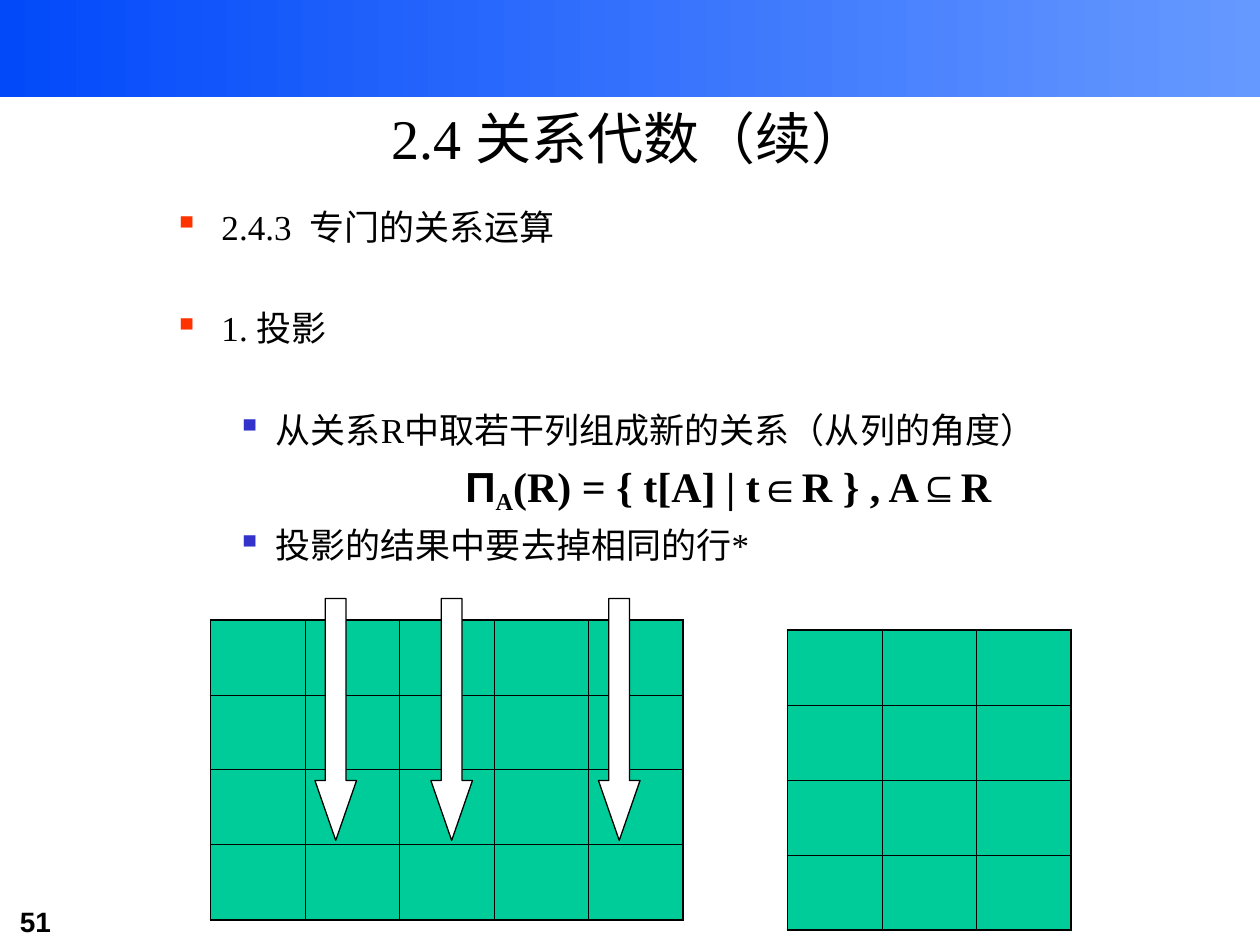
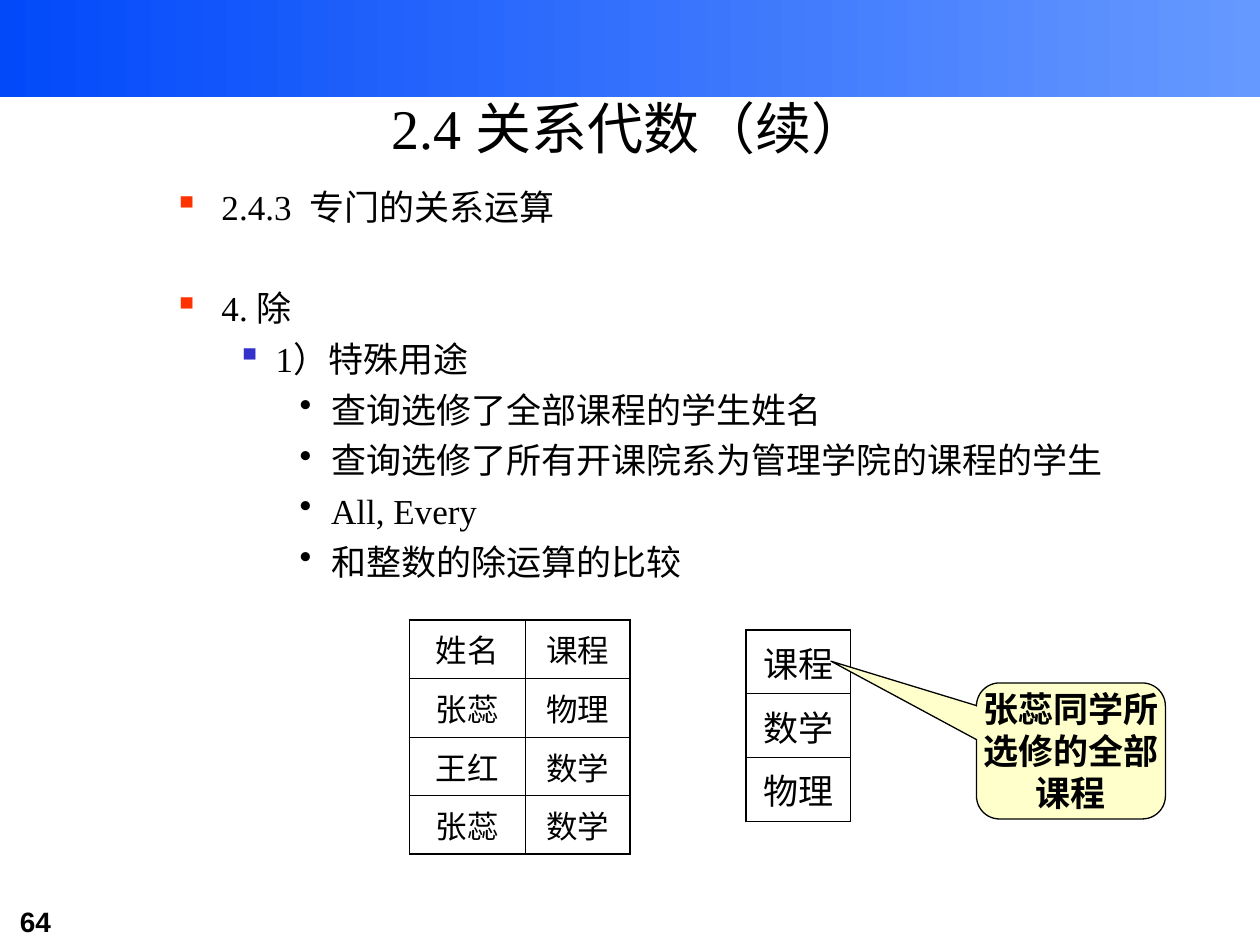
from lxml.etree import SubElement
from pptx import Presentation
from pptx.dml.color import RGBColor
from pptx.enum.shapes import MSO_SHAPE as Shape
from pptx.enum.text import MSO_ANCHOR as Anchor, PP_ALIGN as Align
from pptx.oxml.ns import qn
from pptx.util import Inches, Pt

rgb = RGBColor.from_string
BLACK, WHITE, GREEN, YELLOW = "000000", "FFFFFF", "00CC99", "FFFFCC"
BAND_START, BAND_END = "0249FA", "6699FF"
SERIF, SANS = "Times New Roman", "Arial"
THICK, THIN = Pt(1.08), Pt(0.45)

# Per outline level: bullet, its colour, left margin, hanging indent
LEVELS = [("▪", "FF3300", 0.38, -0.38),
          ("▪", "3333CC", 0.81, -0.31),
          ("•", BLACK, 1.25, -0.25)]
NORMAL_GAP, WIDE_GAP = 5, 34

# The formula as (text, font, baseline shift in percent)
FORMULA = [("Π", SANS, 0), ("A", SERIF, -18), ("(R) = { t[A] | t", SERIF, 0),
           ("∈", SANS, 0), ("R } , A", SERIF, 0), ("⊆", SANS, 0), ("R", SERIF, 0)]


def style(para, size, font=SERIF, bold=False, align=None):
    """Set one font for a whole paragraph, and its alignment."""
    para.alignment = align
    para.font.name, para.font.size, para.font.bold = font, Pt(size), bold
    para.font.color.rgb = rgb(BLACK)


def add_grid(page, left, top, widths, height, rows, size=18, fill=None):
    """Add a table of equal rows with a thick frame and thin inner lines."""
    table = page.shapes.add_table(len(rows), len(widths), Inches(left), Inches(top),
                                  Inches(sum(widths)), Inches(height)).table
    table.first_row = table.horz_banding = False
    for column, width in zip(table.columns, widths):
        column.width = Inches(width)
    for r, row in enumerate(rows):
        for c, text in enumerate(row):
            cell = table.cell(r, c)
            cell.text = text
            cell.vertical_anchor = Anchor.MIDDLE
            style(cell.text_frame.paragraphs[0], size, align=Align.CENTER)
            outer = {"lnL": c == 0, "lnR": c == len(widths) - 1,
                     "lnT": r == 0, "lnB": r == len(rows) - 1}
            for side, is_outer in outer.items():
                line = SubElement(cell._tc.get_or_add_tcPr(), qn(f"a:{side}"),
                                  w=str(THICK if is_outer else THIN))
                SubElement(SubElement(line, qn("a:solidFill")), qn("a:srgbClr"), val=BLACK)
            if fill:
                cell.fill.solid()
                cell.fill.fore_color.rgb = rgb(fill)
            else:
                cell.fill.background()


# Per slide: number, title height, body top, body height, outline (text, level, gap before)
slides = [
    ("51", 0.83, 1.58, 5.08, [
        ("2.4.3  专门的关系运算", 0, 0),
        ("1. 投影", 0, WIDE_GAP),
        ("从关系R中取若干列组成新的关系（从列的角度）", 1, WIDE_GAP),
        (FORMULA, 1, 6),
        ("投影的结果中要去掉相同的行*", 1, NORMAL_GAP)]),
    ("64", 0.67, 1.42, 5.25, [
        ("2.4.3  专门的关系运算", 0, 0),
        ("4. 除", 0, WIDE_GAP),
        ("1）特殊用途", 1, NORMAL_GAP),
        ("查询选修了全部课程的学生姓名", 2, NORMAL_GAP),
        ("查询选修了所有开课院系为管理学院的课程的学生", 2, NORMAL_GAP),
        ("All, Every", 2, NORMAL_GAP),
        ("和整数的除运算的比较", 2, NORMAL_GAP)]),
]

deck = Presentation()
deck.slide_width, deck.slide_height = Inches(10), Inches(7.5)

for number, title_height, body_top, body_height, outline in slides:
    page = deck.slides.add_slide(deck.slide_layouts[6])

    band = page.shapes.add_shape(Shape.RECTANGLE, 0, 0, deck.slide_width, Inches(0.77))
    band.shadow.inherit = False
    band.line.fill.background()
    band.fill.gradient()
    band.fill.gradient_angle = 0
    for stop, colour in zip(band.fill.gradient_stops, (BAND_START, BAND_END)):
        stop.color.rgb = rgb(colour)

    number_box = page.shapes.add_textbox(Inches(0.06), Inches(7.13), Inches(1.22), Inches(0.37))
    number_box.text_frame.word_wrap = True
    number_box.text_frame.text = number
    style(number_box.text_frame.paragraphs[0], 16, SANS, bold=True)

    title = page.shapes.add_textbox(Inches(0.75), Inches(0.67), Inches(8.5), Inches(title_height))
    title.text_frame.word_wrap = True
    title.text_frame.vertical_anchor = Anchor.MIDDLE
    title.text_frame.text = "2.4 关系代数（续）"
    style(title.text_frame.paragraphs[0], 32, align=Align.CENTER)

    body = page.shapes.add_textbox(Inches(1.28), Inches(body_top), Inches(8.5), Inches(body_height))
    frame = body.text_frame
    frame.word_wrap = True
    for index, (content, level, gap) in enumerate(outline):
        para = frame.add_paragraph() if index else frame.paragraphs[0]
        bullet, bullet_colour, margin, indent = LEVELS[level]
        para.level = level
        props = para._p.get_or_add_pPr()
        props.set("marL", str(Inches(margin)))
        props.set("indent", str(Inches(indent)))
        if gap:
            para.space_before = Pt(gap)
        if content is FORMULA:
            SubElement(props, qn("a:buNone"))
            style(para, 24, bold=True, align=Align.CENTER)
            for text, font, shift in FORMULA:
                span = para.add_run()
                span.text = text
                span.font.name = font
                if shift:
                    span.font._element.set("baseline", str(shift * 1000))
        else:
            SubElement(SubElement(props, qn("a:buClr")), qn("a:srgbClr"), val=bullet_colour)
            SubElement(props, qn("a:buChar"), char=bullet)
            para.add_run().text = content
            style(para, 20)

projection, division = deck.slides

# Projection: three chosen columns of five make the new relation
add_grid(projection, 1.67, 4.92, [0.75] * 5, 2.38, [[""] * 5] * 4, fill=GREEN)
add_grid(projection, 6.25, 5, [0.75] * 3, 2.38, [[""] * 3] * 4, fill=GREEN)
for left in (2.5, 3.42, 4.75):
    arrow = projection.shapes.add_shape(Shape.DOWN_ARROW, Inches(left), Inches(4.75),
                                        Inches(0.33), Inches(1.92))
    arrow.adjustments[1] = 1.44
    arrow.shadow.inherit = False
    arrow.fill.solid()
    arrow.fill.fore_color.rgb = rgb(WHITE)
    arrow.line.color.rgb = rgb(BLACK)
    arrow.line.width = Pt(0.75)

# Division: enrolments, and the courses to divide by
add_grid(division, 3.25, 4.92, [0.92, 0.83], 1.86,
         [("姓名", "课程"), ("张蕊", "物理"), ("王红", "数学"), ("张蕊", "数学")])
add_grid(division, 5.92, 5, [0.83], 1.52, [("课程",), ("数学",), ("物理",)], size=20)

callout = division.shapes.add_shape(Shape.ROUNDED_RECTANGULAR_CALLOUT, Inches(7.75), Inches(5.42),
                                    Inches(1.5), Inches(1.08))
for index, value in enumerate((-1.27, -0.66, 0.17)):
    callout.adjustments[index] = value
callout.shadow.inherit = False
callout.fill.solid()
callout.fill.fore_color.rgb = rgb(YELLOW)
callout.line.color.rgb = rgb(BLACK)
callout.line.width = Pt(0.75)
frame = callout.text_frame
frame.margin_left = frame.margin_right = frame.margin_top = frame.margin_bottom = 0
frame.word_wrap = True
frame.vertical_anchor = Anchor.MIDDLE
frame.text = "张蕊同学所选修的全部课程"
style(frame.paragraphs[0], 20, bold=True, align=Align.CENTER)

deck.save("out.pptx")
